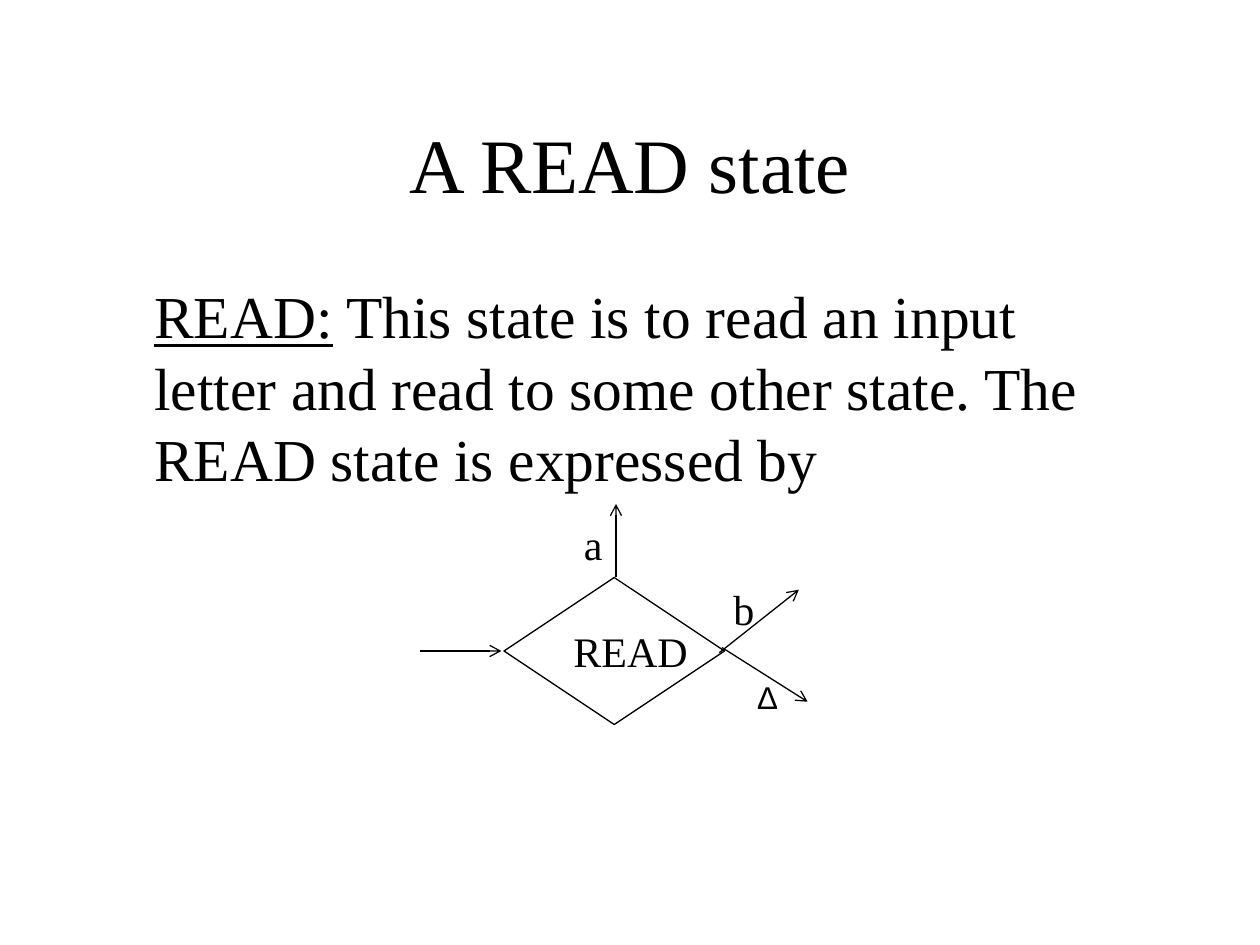
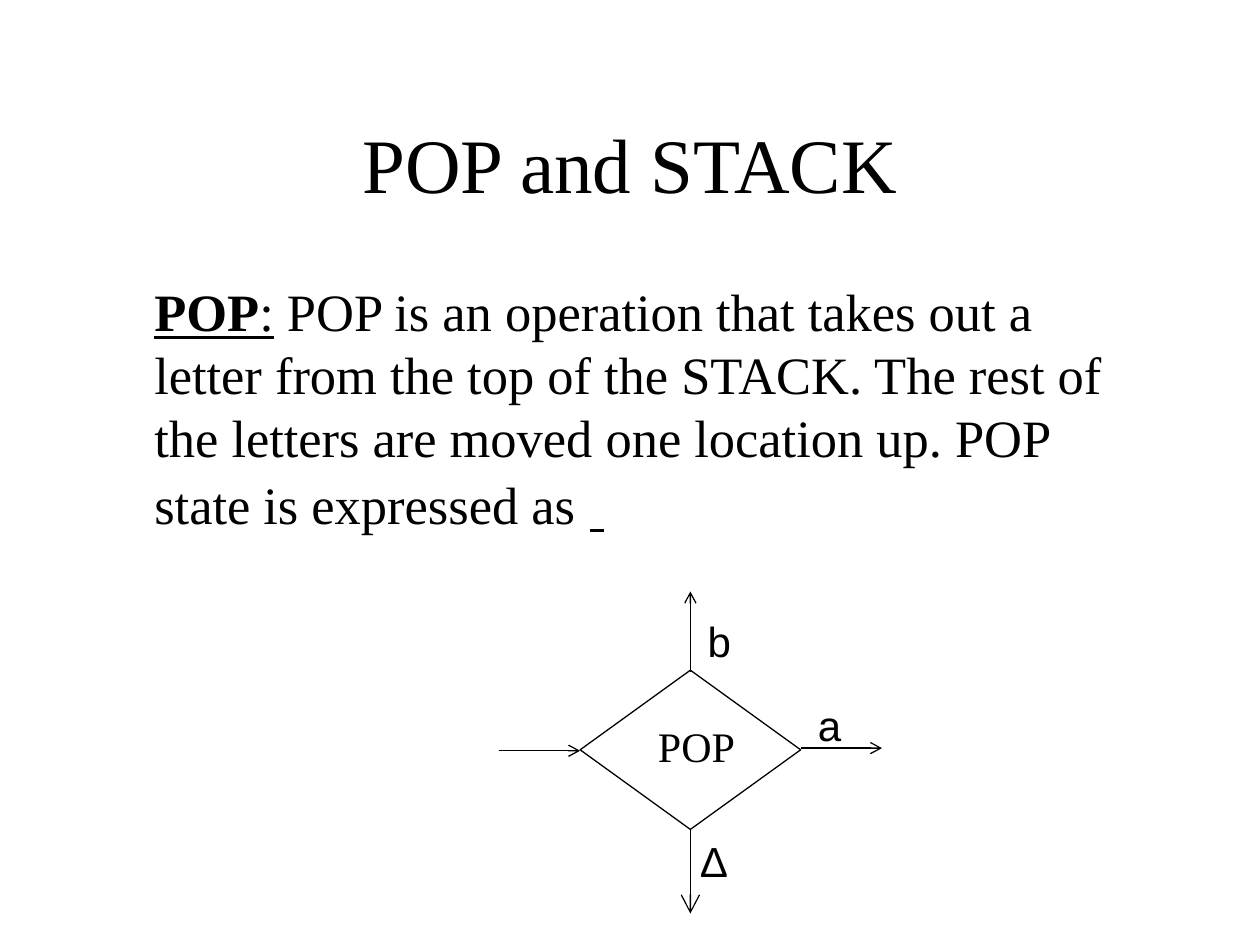
from lxml import etree
from pptx import Presentation
from pptx.dml.color import RGBColor
from pptx.enum.shapes import MSO_CONNECTOR, MSO_SHAPE
from pptx.enum.text import MSO_ANCHOR, MSO_AUTO_SIZE, PP_ALIGN
from pptx.oxml.ns import qn
from pptx.util import Pt

DECISION = MSO_SHAPE.FLOWCHART_DECISION
STRAIGHT = MSO_CONNECTOR.STRAIGHT
TOP, MIDDLE = MSO_ANCHOR.TOP, MSO_ANCHOR.MIDDLE
LEFT, CENTER = PP_ALIGN.LEFT, PP_ALIGN.CENTER
NO_FIT = MSO_AUTO_SIZE.NONE
SERIF, SANS = "Times New Roman", "Arial"


def rgb(value):
    return RGBColor.from_string(value)


class Deck:
    ink = "000000"
    paper = "FFFFFF"
    line_width = 0.75
    title_box = (54, 48, 612, 90)

    def __init__(self):
        self.prs = Presentation()
        self.prs.slide_width, self.prs.slide_height = Pt(720), Pt(540)
        self.slide = None

    def add_slide(self, title):
        self.slide = self.prs.slides.add_slide(self.prs.slide_layouts[1])
        fill = self.slide.background.fill
        fill.solid()
        fill.fore_color.rgb = rgb(self.paper)
        sp = self.slide.shapes.title
        self.place(sp, self.title_box)
        self.set_text(sp.text_frame, [(title, {})], 44, CENTER, anchor=MIDDLE)

    def place(self, sp, box):
        sp.left, sp.top, sp.width, sp.height = map(Pt, box)

    def set_text(self, tf, runs, size, align, font=SERIF, before=0, anchor=TOP, wrap=True):
        frame = {"word_wrap": wrap, "auto_size": NO_FIT, "vertical_anchor": anchor}
        for name, value in frame.items():
            setattr(tf, name, value)
        p = tf.paragraphs[0]
        p.alignment, p.space_before = align, Pt(before)
        for text, changes in runs:
            r = p.add_run()
            r.text = text
            r.font.color.rgb = rgb(self.ink)
            style = {"name": font, "size": Pt(size), "bold": False, **changes}
            for name, value in style.items():
                setattr(r.font, name, value)
        return p

    def body(self, runs, size, height):
        sp = self.slide.placeholders[1]
        self.place(sp, (54, 156, 612, height))
        p = self.set_text(sp.text_frame, runs, size, LEFT, before=4)
        pPr = p._p.get_or_add_pPr()
        pPr.set("marL", str(Pt(27)))
        pPr.set("indent", "0")
        etree.SubElement(pPr, qn("a:buNone"))

    def label(self, text, x, y, width=54, size=24, font=SERIF, align=CENTER, wrap=True):
        sp = self.slide.shapes.add_textbox(Pt(x), Pt(y), Pt(width), Pt(36))
        self.set_text(sp.text_frame, [(text, {})], size, align, font, before=1, wrap=wrap)

    def decision(self, *box):
        sp = self.slide.shapes.add_shape(DECISION, *map(Pt, box))
        sp.shadow.inherit = False
        sp.fill.background()
        sp.line.color.rgb = rgb(self.ink)
        sp.line.width = Pt(self.line_width)

    def arrow(self, x1, y1, x2, y2, head="med"):
        sp = self.slide.shapes.add_connector(STRAIGHT, Pt(x1), Pt(y1), Pt(x2), Pt(y2))
        sp.line.color.rgb = rgb(self.ink)
        sp.line.width = Pt(self.line_width)
        ln = sp._element.spPr.find(qn("a:ln"))
        etree.SubElement(ln, qn("a:tailEnd"), type="arrow", w=head, len=head)
        etree.SubElement(sp._element.spPr, qn("a:effectLst"))


deck = Deck()

deck.add_slide("A READ state")
deck.body([
    ("READ:", {"underline": True}),
    (" This state is to read an input letter and read to some other state. "
     "The READ state is expressed by", {}),
], 34, 384)
deck.arrow(352, 330, 352, 288)
deck.label("READ", 320.4, 354, 80, wrap=False)
deck.decision(288, 330, 126, 84)
deck.arrow(240, 372, 286.5, 372)
deck.arrow(412.5, 370, 461.5, 401)
deck.arrow(411, 373, 456.5, 337)
deck.label("a", 312, 292.5)
deck.label("b", 398, 330)
deck.label("\u2206", 426, 384, size=18, font=SANS, align=LEFT)

deck.add_slide("POP and STACK")
deck.body([
    ("POP", {"bold": True, "underline": True}),
    (":", {"underline": True}),
    (" POP is an operation that takes out a letter from the top of the STACK. "
     "The rest of the letters are moved one location up. "
     "POP state is expressed as", {}),
    (" ", {"size": Pt(32)}),
    (" ", {"size": Pt(32), "underline": True}),
], 30, 324)
deck.decision(331.5, 383, 126, 91)
deck.label("POP", 368.5, 408, 59, wrap=False)
deck.arrow(285, 429, 331.5, 429)
deck.arrow(457.5, 427.5, 504, 427.5)
deck.arrow(394.5, 384, 394.5, 338)
deck.arrow(394.5, 474, 394.5, 522, head="lg")
deck.label("\u2206", 381, 474, font=SANS)
deck.label("a", 447, 396, font=SANS)
deck.label("b", 384, 348, font=SANS)

deck.prs.save("out.pptx")
